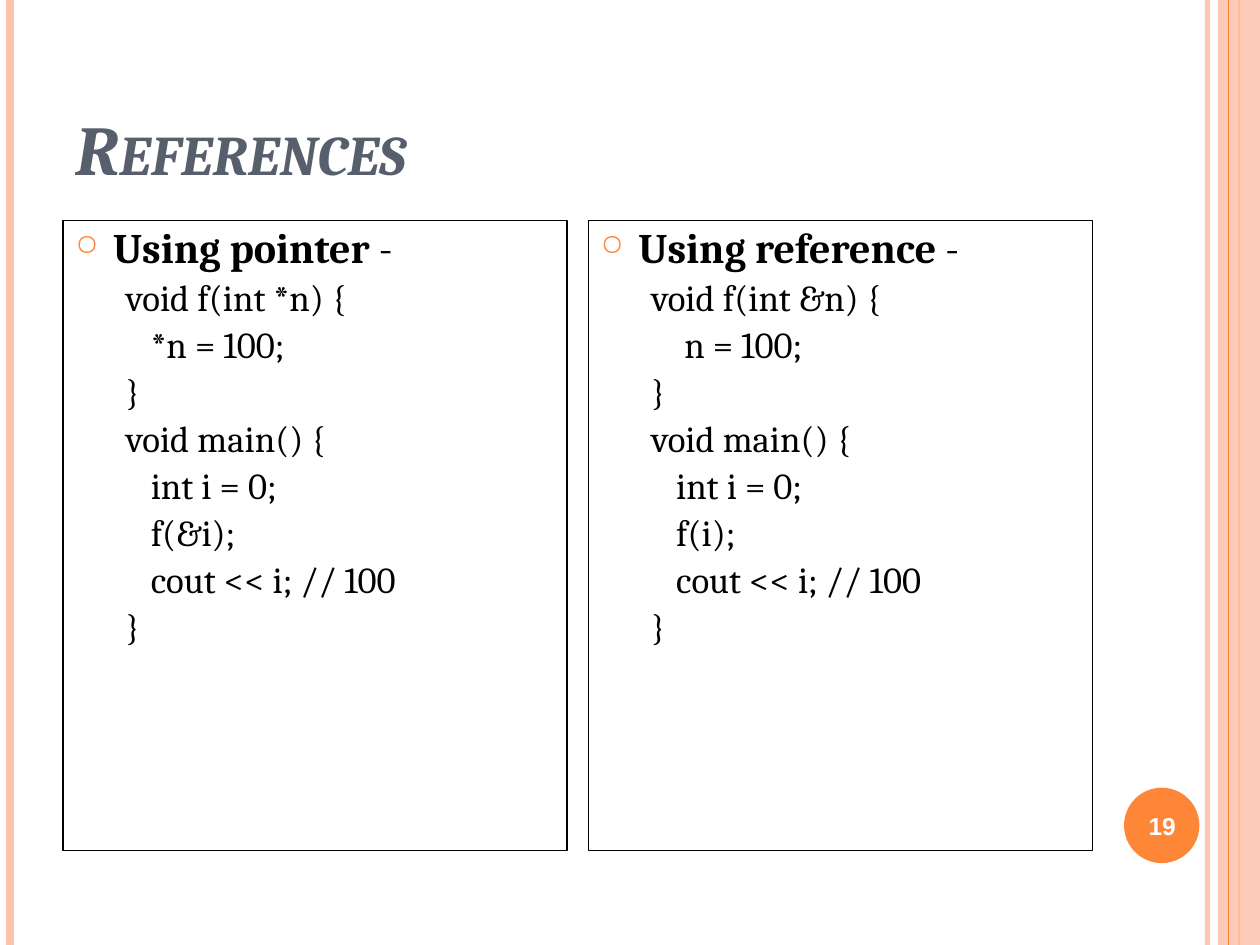
"""Build a slide comparing a pointer argument with a reference argument in C++."""
from lxml import etree
from pptx import Presentation
from pptx import util as u
from pptx.dml.color import RGBColor
from pptx.enum import shapes, text
from pptx.oxml.ns import qn

COLORS = {
    "peach": "FEC3AE",
    "orange": "FE8637",
    "slate": "575F6D",
    "black": "000000",
    "white": "FFFFFF",
}
WIDTH, HEIGHT = 25.4, 19.05
INDENT = 0.5
PANELS = [
    ("Using pointer ", [
        (0, "void f(int *n) {"), (1, "*n = 100;"), (0, "}"),
        (0, "void main() {"), (1, "int i = 0;"), (1, "f(&i);"),
        (1, "cout << i; // 100"), (0, "}"),
    ]),
    ("Using reference ", [
        (0, "void f(int &n) {"), (1.33, "n = 100;"), (0, "}"),
        (0, "void main() {"), (1, "int i = 0;"), (1, "f(i);"),
        (1, "cout << i; // 100"), (0, "}"),
    ]),
]


def color(name):
    return RGBColor.from_string(COLORS[name])


def set_alpha(shape, percent):
    rgb = shape._element.spPr.find(".//" + qn("a:srgbClr"))
    etree.SubElement(rgb, qn("a:alpha")).set("val", str(percent * 1000))


def add_stripe(page, x, name, width, alpha=None):
    stripe = page.shapes.add_connector(
        shapes.MSO_CONNECTOR.STRAIGHT, u.Cm(x), u.Cm(0), u.Cm(x), u.Cm(HEIGHT))
    stripe.line.color.rgb = color(name)
    stripe.line.width = u.Pt(width)
    if alpha:
        set_alpha(stripe, alpha)
    etree.SubElement(stripe._element.spPr, qn("a:effectLst"))


def add_block(page, kind, bounds, name, alpha=None):
    block = page.shapes.add_shape(kind, *map(u.Cm, bounds))
    block.shadow.inherit = False
    block.fill.solid()
    block.fill.fore_color.rgb = color(name)
    block.line.fill.background()
    if alpha:
        set_alpha(block, alpha)


def add_box(page, bounds, anchor):
    box = page.shapes.add_textbox(*map(u.Cm, bounds))
    box.text_frame.word_wrap = True
    box.text_frame.vertical_anchor = anchor
    return box


def add_span(para, words, size, name="black", font="Cambria", bold=False):
    span = para.add_run()
    span.text = words
    span.font.size = u.Pt(size)
    span.font.name = font
    span.font.bold = bold
    span.font.color.rgb = color(name)
    return span


def set_spacing(para, before):
    para.line_spacing = 0.9
    para.space_before = u.Pt(before)


def set_bullet(para, hang):
    props = para._p.get_or_add_pPr()
    props.set("marL", str(u.Cm(hang)))
    props.set("indent", str(-u.Cm(hang)))
    tint = etree.SubElement(props, qn("a:buClr"))
    etree.SubElement(tint, qn("a:srgbClr")).set("val", COLORS["orange"])
    etree.SubElement(props, qn("a:buSzPct")).set("val", "70000")
    etree.SubElement(props, qn("a:buChar")).set("char", "○")


def add_title(page, words):
    box = add_box(page, (1.27, 0.76, 20.75, 3.18), text.MSO_ANCHOR.BOTTOM)
    span = add_span(box.text_frame.paragraphs[0], words, 40, "slate", bold=True)
    span.font.italic = True
    span.font._element.set("cap", "small")


def add_panel(page, left, heading, code):
    box = add_box(page, (left, 4.45, 10.16, 12.7), text.MSO_ANCHOR.TOP)
    box.line.color.rgb = color("black")
    box.line.width = u.Pt(0.75)
    para = box.text_frame.paragraphs[0]
    set_spacing(para, 6)
    set_bullet(para, 0.76)
    add_span(para, heading, 24, bold=True)
    add_span(para, "-", 24)
    for depth, line in code:
        para = box.text_frame.add_paragraph()
        para.level = 1
        set_spacing(para, 4.2)
        props = para._p.get_or_add_pPr()
        props.set("marL", str(u.Cm(1.02 + depth * INDENT)))
        props.set("indent", "0")
        add_span(para, line, 21)


def add_page_number(page, number):
    add_block(page, shapes.MSO_SHAPE.OVAL, (22.66, 15.88, 1.52, 1.52), "orange")
    box = add_box(page, (22.58, 15.93, 1.7, 1.45), text.MSO_ANCHOR.MIDDLE)
    para = box.text_frame.paragraphs[0]
    para.alignment = text.PP_ALIGN.CENTER
    add_span(para, number, 14, "white", "Arial", True)


def main():
    deck = Presentation()
    deck.slide_width, deck.slide_height = u.Cm(WIDTH), u.Cm(HEIGHT)
    page = deck.slides.add_slide(deck.slide_layouts[6])
    add_stripe(page, 24.34, "peach", 3, 93)
    add_stripe(page, 0.21, "peach", 4.5)
    add_stripe(page, 24.98, "orange", 1.5)
    add_block(page, shapes.MSO_SHAPE.RECTANGLE,
              (24.55, 0, WIDTH - 24.55, HEIGHT), "peach", 87)
    add_stripe(page, 24.77, "orange", 0.75)
    add_page_number(page, "19")
    add_title(page, "References")
    for index, (heading, code) in enumerate(PANELS):
        add_panel(page, 1.27 + index * 10.59, heading, code)
    deck.save("out.pptx")


if __name__ == "__main__":
    main()
